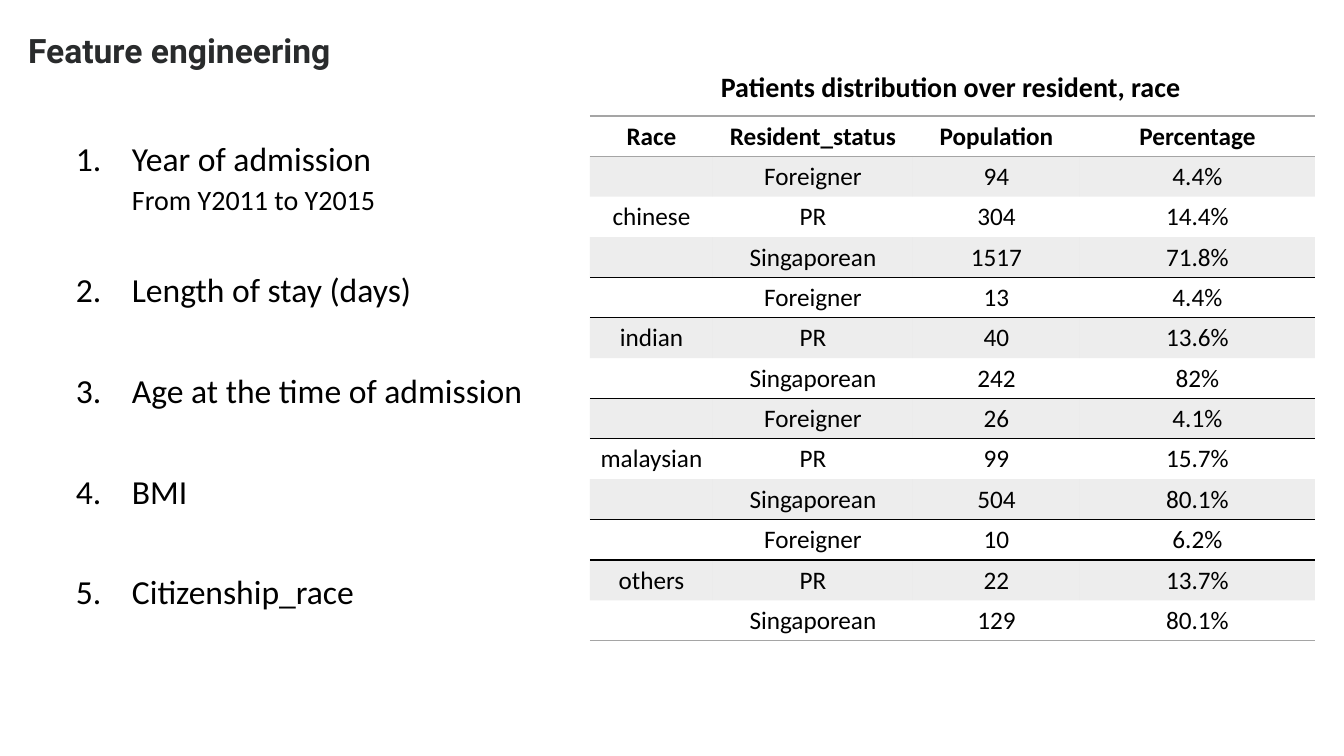
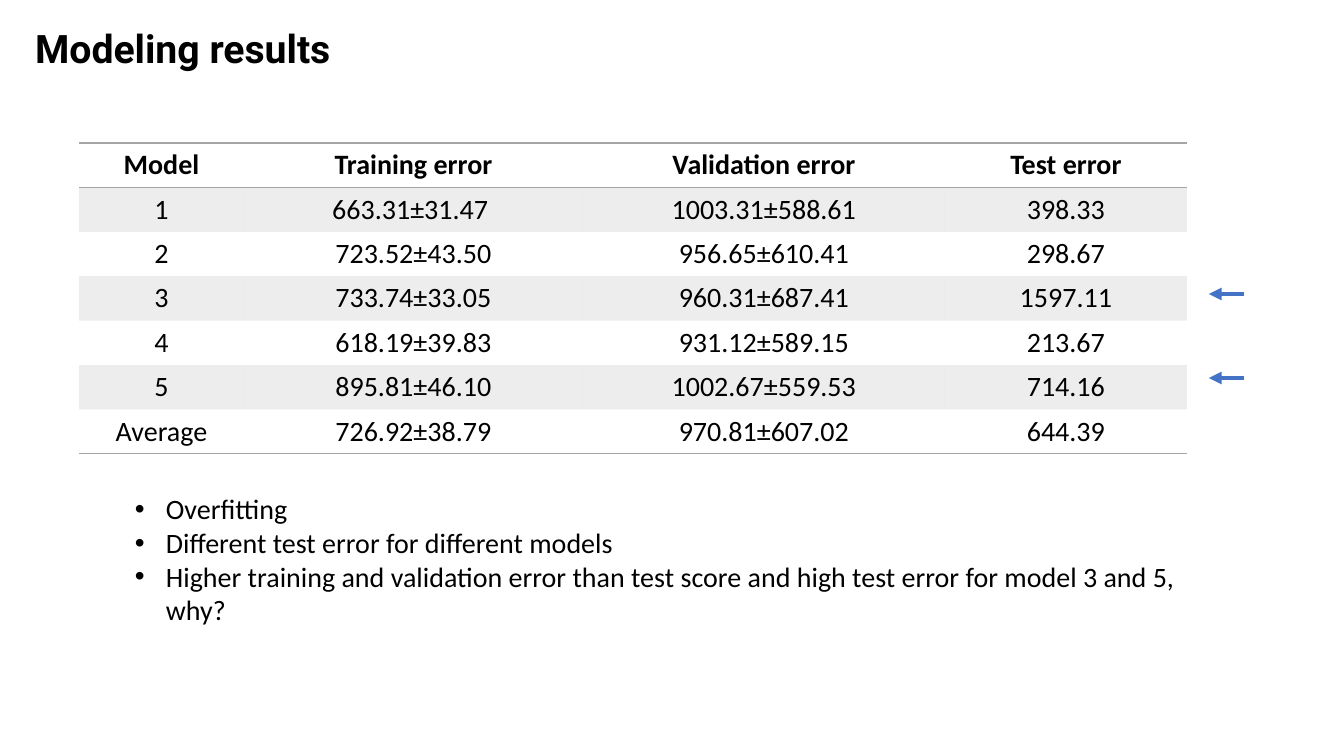
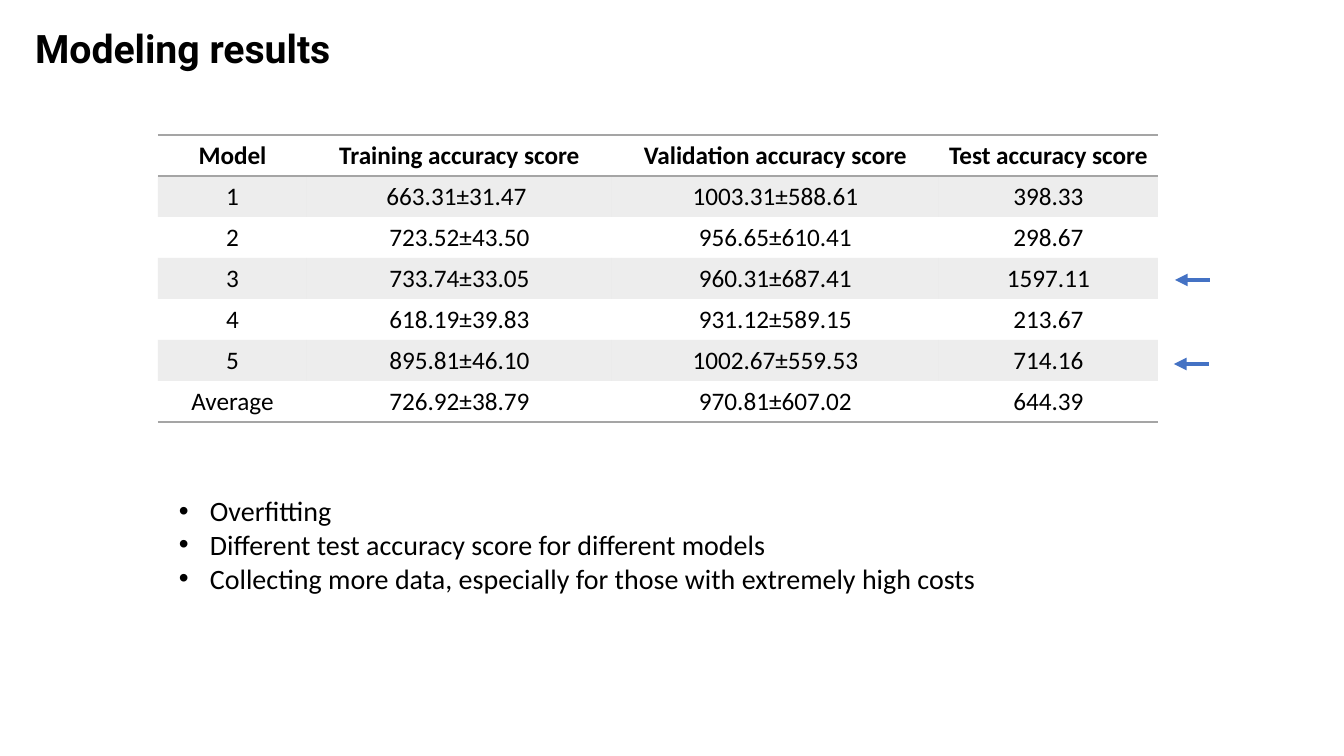
from dataclasses import dataclass

from lxml.etree import SubElement
from pptx import Presentation
from pptx.dml.color import RGBColor
from pptx.enum.shapes import MSO_CONNECTOR
from pptx.enum.text import MSO_ANCHOR, MSO_AUTO_SIZE, PP_ALIGN
from pptx.oxml.ns import qn
from pptx.util import Emu, Pt

STRAIGHT = MSO_CONNECTOR.STRAIGHT
MIDDLE = MSO_ANCHOR.MIDDLE
NO_FIT = MSO_AUTO_SIZE.NONE
LEFT, CENTER = PP_ALIGN.LEFT, PP_ALIGN.CENTER
TITLE_ONLY = 5
PLAIN_TABLE = "{2D5ABB26-0587-4C30-8999-92F81FD0307C}"


@dataclass(frozen=True)
class Theme:
    ink: str = "000000"
    charcoal: str = "292B2C"
    grey: str = "A5A5A5"
    blue: str = "4472C4"
    band_alpha: int = 20
    title_font: str = "Roboto"
    body_font: str = "Calibri"
    title: int = 28
    small_title: int = 24
    item: int = 24
    text: int = 20
    small: int = 18
    rule: float = 1
    arrow: float = 3


def px(pixels):
    return Emu(round(pixels * 914400 / 100.8))


class Builder:
    def __init__(self, theme):
        self.theme = theme
        self.deck = Presentation()
        self.deck.slide_width, self.deck.slide_height = px(1344), px(756)
        self.page = None

    def add_span(self, para, text, size, bold=False, color=None, font=None):
        span = para.add_run()
        span.text = text
        span.font.size = Pt(size)
        span.font.bold = bold
        span.font.name = font or self.theme.body_font
        span.font.color.rgb = RGBColor.from_string(color or self.theme.ink)

    def new_page(self, title, place, size, color):
        self.page = self.deck.slides.add_slide(self.deck.slide_layouts[TITLE_ONLY])
        box = self.page.shapes.title
        box.left, box.top, box.width, box.height = map(px, place)
        frame = box.text_frame
        frame.auto_size = NO_FIT
        frame.word_wrap = True
        frame.vertical_anchor = MIDDLE
        para = frame.paragraphs[0]
        para.alignment = LEFT
        para.line_spacing = 0.9
        self.add_span(para, title, size, True, color, self.theme.title_font)

    def text_frame(self, place):
        frame = self.page.shapes.add_textbox(*map(px, place)).text_frame
        frame.word_wrap = True
        return frame

    def paragraph(self, frame, indent, hanging=0):
        first = frame.paragraphs[0]
        para = frame.add_paragraph() if first.runs else first
        properties = para._p.get_or_add_pPr()
        properties.set("marL", str(px(indent)))
        properties.set("indent", str(px(-hanging)))
        return para, properties

    def heading(self, text, place):
        self.add_span(self.text_frame(place).paragraphs[0], text, self.theme.text, True)

    def numbered(self, items, place, indent):
        """Items are (text, detail line or None)."""
        frame = self.text_frame(place)
        gap = 0
        for text, detail in items:
            para, properties = self.paragraph(frame, indent, indent)
            SubElement(properties, qn("a:buAutoNum"), type="arabicPeriod")
            para.line_spacing, para.space_before = 0.9, Pt(gap)
            self.add_span(para, text, self.theme.item)
            gap = 46
            if detail:
                para, properties = self.paragraph(frame, indent)
                SubElement(properties, qn("a:buNone"))
                para.level = 1
                para.line_spacing, para.space_before = 0.9, Pt(5)
                self.add_span(para, detail, self.theme.text)
                gap = 41

    def bullets(self, items, place, indent=31):
        frame = self.text_frame(place)
        for text in items:
            para, properties = self.paragraph(frame, indent, indent)
            SubElement(properties, qn("a:buFont"), typeface="Arial")
            SubElement(properties, qn("a:buChar"), char="•")
            self.add_span(para, text, self.theme.text)

    def border(self, cell, side, color):
        line = SubElement(cell._tc.get_or_add_tcPr(), qn("a:ln" + side),
                          w=str(Pt(self.theme.rule)))
        fill = SubElement(line, qn("a:solidFill"))
        SubElement(fill, qn("a:srgbClr"), val=color)

    def band(self, cell):
        cell.fill.solid()
        cell.fill.fore_color.rgb = RGBColor.from_string(self.theme.grey)
        for color in cell._tc.tcPr.findall(qn("a:solidFill") + "/" + qn("a:srgbClr")):
            SubElement(color, qn("a:alpha"), val=str(self.theme.band_alpha * 1000))

    def rule_below(self, row, last, group):
        if row in (0, last):
            return self.theme.grey
        if group and row > 1 and row % group in (0, 1):
            return self.theme.ink
        return None

    def table(self, rows, left, top, widths, row_height, size, group=0):
        last = len(rows) - 1
        holder = self.page.shapes.add_table(
            len(rows), len(widths), px(left), px(top),
            px(sum(widths)), px(row_height * len(rows)))
        for style in holder._element.iter(qn("a:tableStyleId")):
            style.text = PLAIN_TABLE
        table = holder.table
        for column, width in zip(table.columns, widths):
            column.width = px(width)
        for index, values in enumerate(rows):
            table.rows[index].height = px(row_height)
            below = self.rule_below(index, last, group)
            for cell, value in zip(table.rows[index].cells, values):
                if index == 0:
                    self.border(cell, "T", self.theme.grey)
                if below:
                    self.border(cell, "B", below)
                if index % 2:
                    self.band(cell)
                else:
                    cell.fill.background()
                para = cell.text_frame.paragraphs[0]
                para.alignment = CENTER
                if value:
                    self.add_span(para, value, size, index == 0)

    def arrow_left(self, right, y, length=35):
        arrow = self.page.shapes.add_connector(
            STRAIGHT, px(right), px(y), px(right - length), px(y))
        arrow.line.color.rgb = RGBColor.from_string(self.theme.blue)
        arrow.line.width = Pt(self.theme.arrow)
        SubElement(arrow.line._get_or_add_ln(), qn("a:tailEnd"), type="triangle")
        SubElement(arrow._element.spPr, qn("a:effectLst"))


theme = Theme()
builder = Builder(theme)

# Features and patient distribution
builder.new_page("Feature engineering", (18, 19, 822, 67),
                 theme.small_title, theme.charcoal)
builder.numbered([
    ("Year of admission", "From Y2011 to Y2015"),
    ("Length of stay (days)", None),
    ("Age at the time of admission", None),
    ("BMI", None),
    ("Citizenship_race", None),
], (66, 138, 508, 480), 56)

patients = [
    ("chinese", ("94", "4.4%"), ("304", "14.4%"), ("1517", "71.8%")),
    ("indian", ("13", "4.4%"), ("40", "13.6%"), ("242", "82%")),
    ("malaysian", ("26", "4.1%"), ("99", "15.7%"), ("504", "80.1%")),
    ("others", ("10", "6.2%"), ("22", "13.7%"), ("129", "80.1%")),
]
distribution = [("Race", "Resident_status", "Population", "Percentage")]
for race, foreigner, resident, citizen in patients:
    distribution += [("", "Foreigner", *foreigner), (race, "PR", *resident),
                     ("", "Singaporean", *citizen)]
builder.table(distribution, 590, 116, (123, 200, 167, 235), 40, theme.small, group=3)
builder.heading("Patients distribution over resident, race", (711, 65, 484, 44))

# Model results: errors, then accuracy scores
results = [
    ("1", "663.31±31.47 ", "1003.31±588.61", "398.33"),
    ("2", "723.52±43.50", "956.65±610.41", "298.67"),
    ("3", "733.74±33.05", "960.31±687.41", "1597.11"),
    ("4", "618.19±39.83", "931.12±589.15", "213.67"),
    ("5", "895.81±46.10", "1002.67±559.53", "714.16"),
    ("Average", "726.92±38.79", "970.81±607.02", "644.39"),
]


def results_page(measure, left, top, widths, row_height, size, arrows, notes, notes_place):
    builder.new_page("Modeling results", (25, 22, 336, 57), theme.title, theme.ink)
    header = ("Model", *(f"{part} {measure}" for part in ("Training", "Validation", "Test")))
    builder.table([header, *results], left, top, widths, row_height, size)
    for right, y in arrows:
        builder.arrow_left(right, y)
    builder.bullets(["Overfitting", f"Different test {measure} for different models", notes],
                    notes_place)


results_page(
    "error", 79, 143, (165, 339, 362, 242), 44, theme.text, [(1244, 294), (1244, 378)],
    "Higher training and validation error than test score and high test error "
    "for model 3 and 5, why?", (125, 487, 1062, 146))
results_page(
    "accuracy score", 158, 135, (149, 305, 327, 219), 41, theme.small,
    [(1210, 280), (1209, 364)],
    "Collecting more data, especially for those with extremely high costs",
    (169, 489, 826, 112))

builder.deck.save("out.pptx")
